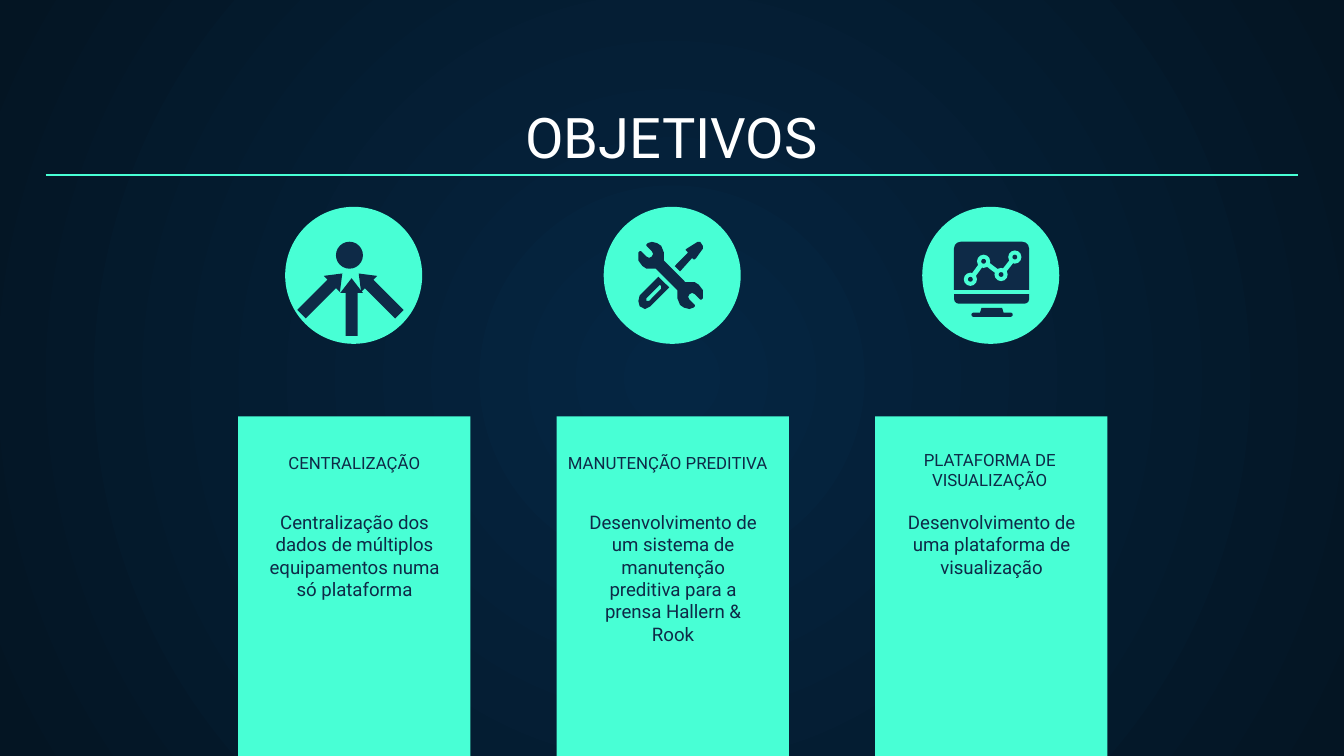
"""Build the project objectives slide with three illustrated columns."""
from itertools import pairwise

from lxml import etree
from pptx import Presentation
from pptx.dml.color import RGBColor
from pptx.enum.shapes import MSO_CONNECTOR, MSO_SHAPE
from pptx.enum.text import MSO_ANCHOR, PP_ALIGN
from pptx.oxml.ns import qn
from pptx.util import Cm, Pt

RECTANGLE, OVAL, ARROW = MSO_SHAPE.RECTANGLE, MSO_SHAPE.OVAL, MSO_SHAPE.UP_ARROW
ROUND_TOP, ROUNDED = MSO_SHAPE.ROUND_2_SAME_RECTANGLE, MSO_SHAPE.ROUNDED_RECTANGLE
TRAPEZOID, STRAIGHT = MSO_SHAPE.TRAPEZOID, MSO_CONNECTOR.STRAIGHT
TOP, MIDDLE, BOTTOM = MSO_ANCHOR.TOP, MSO_ANCHOR.MIDDLE, MSO_ANCHOR.BOTTOM
CENTER = PP_ALIGN.CENTER
MINT, NAVY, WHITE = "48FFD5", "0E2A47", "FFFFFF"
color = RGBColor.from_string


def paint(shape, fill):
    shape.shadow.inherit = False
    shape.fill.solid()
    shape.fill.fore_color.rgb = color(fill)
    shape.line.fill.background()
    return shape


def write(box, text, size, ink, anchor):
    frame = box.text_frame
    frame.word_wrap = True
    frame.vertical_anchor = anchor
    frame.margin_left = frame.margin_right = Cm(0.25)
    frame.margin_top = frame.margin_bottom = Cm(0.25)
    para = frame.paragraphs[0]
    para.alignment = CENTER
    for number, line in enumerate(text.split("\n")):
        if number:
            para.add_line_break()
        span = para.add_run()
        span.text = line
        span.font.name = "Roboto"
        span.font.size = Pt(size)
        span.font.color.rgb = color(ink)


deck = Presentation()
deck.slide_width, deck.slide_height = Cm(25.4), Cm(14.29)
page = deck.slides.add_slide(deck.slide_layouts[5])
shapes = page.shapes

background = page.background.fill
background.gradient()
for stop, shade in zip(background.gradient_stops, ("052643", "041523")):
    stop.color.rgb = color(shade)
gradient = page.element.find(".//" + qn("a:gradFill"))
gradient.remove(gradient.find(qn("a:lin")))
radial = etree.SubElement(gradient, qn("a:path"), path="circle")
etree.SubElement(radial, qn("a:fillToRect"), l="50000", t="50000", r="50000", b="50000")

title = shapes.title
title.left, title.top, title.width, title.height = Cm(0.86), Cm(1.78), Cm(23.67), Cm(1.68)
write(title, "OBJETIVOS", 30, WHITE, BOTTOM)

columns = [
    ("CENTRALIZAÇÃO", 3.81, BOTTOM,
     "Centralização dos dados de múltiplos equipamentos numa só plataforma"),
    ("MANUTENÇÃO PREDITIVA", 9.73, BOTTOM,
     "Desenvolvimento de um sistema de manutenção preditiva para a prensa Hallern & Rook"),
    ("PLATAFORMA DE\nVISUALIZAÇÃO", 15.82, MIDDLE,
     "Desenvolvimento de uma plataforma de visualização"),
]
for index, (heading, heading_left, anchor, body) in enumerate(columns):
    left = 4.5 + index * 6.02
    paint(shapes.add_shape(RECTANGLE, Cm(left), Cm(7.87), Cm(4.39), Cm(6.42)), MINT)
    paint(shapes.add_shape(OVAL, Cm(left + 0.89), Cm(3.91), Cm(2.59), Cm(2.59)), MINT)
    box = shapes.add_textbox(Cm(heading_left), Cm(8.61), Cm(5.77), Cm(0.53))
    write(box, heading, 9, NAVY, anchor)
    box = shapes.add_textbox(Cm(left + 0.27), Cm(9.4), Cm(3.86), Cm(1.4))
    write(box, body, 10, NAVY, TOP)

paint(shapes.add_shape(OVAL, Cm(6.35), Cm(4.57), Cm(0.51), Cm(0.51)), NAVY)
for left, top, angle in [(6.43, 5.26, 0), (6.95, 5.01, 315), (5.87, 5.01, 45)]:
    arrow = paint(shapes.add_shape(ARROW, Cm(left), Cm(top), Cm(0.43), Cm(1.09)), NAVY)
    arrow.adjustments[0], arrow.adjustments[1] = 0.53, 0.65
    arrow.rotation = angle

half_wrench = [
    (485, 180), (482, 181), (481, 182), (481, 183), (485, 187), (486, 189),
    (485, 191), (483, 192), (481, 191), (477, 187), (476, 187), (475, 188),
    (475, 194), (478, 198), (481, 200), (485, 200), (488, 200), (504, 216),
    (504, 222), (506, 227), (509, 229),
]
wrench = half_wrench + [(998 - x, 410 - y) for x, y in half_wrench]
handle = [(490, 206), (476, 220), (475, 224), (476, 228), (480, 230), (484, 228), (498, 214)]
handle_slot = [(491, 212), (492, 213), (492, 215), (483, 224), (482, 224),
               (481, 224), (481, 222), (490, 213)]
blade = [
    (520, 180), (519, 180), (511, 185), (510, 186), (511, 187), (512, 188),
    (502, 198), (506, 202), (515, 192), (516, 193), (517, 193), (518, 192),
    (523, 185), (523, 183), (521, 180),
]
for outer, *holes in [[wrench], [handle, handle_slot], [blade]]:
    outline = shapes.build_freeform(*outer[0], scale=Cm(2.54) / 100)
    outline.add_line_segments(outer[1:])
    for hole in holes:
        outline.move_to(*hole[0])
        outline.add_line_segments(hole[1:])
    paint(outline.convert_to_shape(), NAVY)

monitor = [
    (ROUND_TOP, 18.03, 4.57, 1.42, 0.91, 0.14, 0),
    (ROUND_TOP, 18.03, 5.56, 1.42, 0.18, 0.5, 180),
    (TRAPEZOID, 18.52, 5.82, 0.45, 0.1, 0.3, 0),
    (ROUNDED, 18.36, 5.91, 0.78, 0.08, 0.5, 0),
]
for kind, left, top, width, height, corner, angle in monitor:
    part = paint(shapes.add_shape(kind, Cm(left), Cm(top), Cm(width), Cm(height)), NAVY)
    part.adjustments[0] = corner
    part.rotation = angle

nodes = [(18.34, 5.28), (18.59, 4.94), (18.92, 5.19), (19.18, 4.86)]
lines = [((0.86, 3.31), (24.54, 3.31), 0.75)]
lines += [(start, end, 2.5) for start, end in pairwise(nodes)]
for (x1, y1), (x2, y2), weight in lines:
    line = shapes.add_connector(STRAIGHT, Cm(x1), Cm(y1), Cm(x2), Cm(y2))
    line.line.color.rgb = color(MINT)
    line.line.width = Pt(weight)
    etree.SubElement(line.element.spPr, qn("a:effectLst"))
for x, y in nodes:
    for size, fill in [(0.25, MINT), (0.09, NAVY)]:
        paint(shapes.add_shape(OVAL, Cm(x - size / 2), Cm(y - size / 2), Cm(size), Cm(size)), fill)

deck.save("out.pptx")
